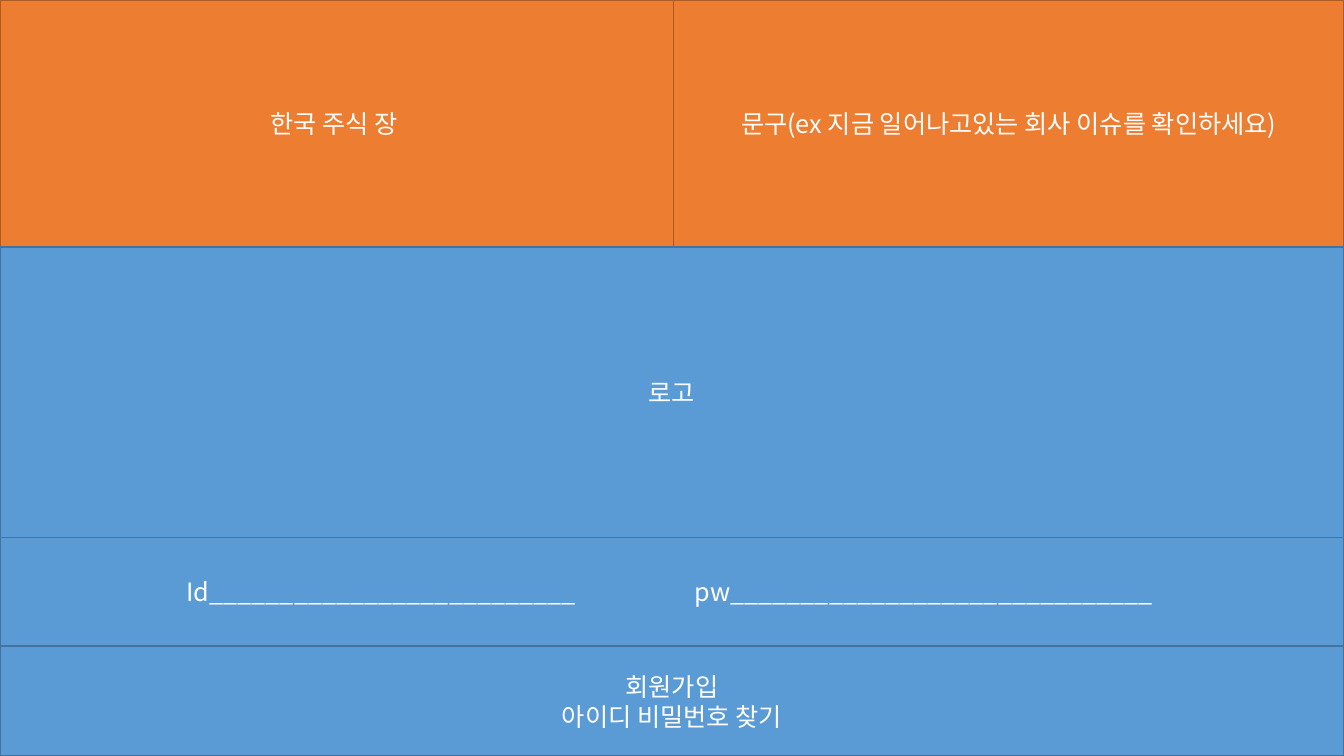
from lxml import etree
from pptx import Presentation
from pptx.dml.color import RGBColor
from pptx.enum.shapes import MSO_SHAPE
from pptx.enum.text import MSO_ANCHOR, PP_ALIGN
from pptx.oxml.ns import qn
from pptx.util import Inches, Pt

RECTANGLE = MSO_SHAPE.RECTANGLE
MIDDLE = MSO_ANCHOR.MIDDLE
CENTER, LEFT = PP_ALIGN.CENTER, PP_ALIGN.LEFT

ORANGE = RGBColor(0xED, 0x7D, 0x31)
DARK_ORANGE = RGBColor(0xAF, 0x5C, 0x24)
BLUE = RGBColor(0x5B, 0x9B, 0xD5)
DARK_BLUE = RGBColor(0x43, 0x73, 0x9E)
WHITE = RGBColor(0xFF, 0xFF, 0xFF)
FONT = "Noto Sans CJK KR"

WIDTH, HEIGHT = 13.33, 7.5
HEADER_SPLIT = 6.68
ROW_EDGES = [0, 2.45, 5.33, 6.41, HEIGHT]


def format_span(span):
    span.font.size = Pt(18)
    span.font.color.rgb = WHITE
    span.font.name = FONT
    # Korean letters take the East Asian font
    etree.SubElement(span.font._element, qn("a:ea"), typeface=FONT)


def add_panel(page, left, right, row, text, fill, line):
    top, bottom = ROW_EDGES[row:row + 2]
    box = page.shapes.add_shape(RECTANGLE, Inches(left), Inches(top),
                                Inches(right - left), Inches(bottom - top))
    box.shadow.inherit = False
    box.fill.solid()
    box.fill.fore_color.rgb = fill
    box.line.color.rgb = line
    box.line.width = Pt(1)

    frame = box.text_frame
    frame.word_wrap = True
    frame.vertical_anchor = MIDDLE
    frame.text = text
    for para in frame.paragraphs:
        para.alignment = CENTER
        for span in para.runs:
            format_span(span)
    return box


def align_fields(box, first, second):
    """Start two tab-separated fields at the given distances from the left."""
    frame = box.text_frame
    frame.margin_left = Inches(first)
    para = frame.paragraphs[0]
    para.alignment = LEFT
    tabs = etree.SubElement(para._p.get_or_add_pPr(), qn("a:tabLst"))
    etree.SubElement(tabs, qn("a:tab"), pos=str(Inches(second - first)), algn="l")


def main():
    deck = Presentation()
    deck.slide_width, deck.slide_height = Inches(WIDTH), Inches(HEIGHT)
    page = deck.slides.add_slide(deck.slide_layouts[6])

    # Header: stock market and slogan
    add_panel(page, 0, HEADER_SPLIT, 0, "한국 주식 장 ", ORANGE, DARK_ORANGE)
    add_panel(page, HEADER_SPLIT, WIDTH, 0,
              "문구(ex 지금 일어나고있는 회사 이슈를 확인하세요)", ORANGE, DARK_ORANGE)

    # Body: logo area, login fields, account links
    login_text = "Id" + "_" * 26 + "\tpw" + "_" * 30
    body_texts = ["로고", login_text, "회원가입\n아이디 비밀번호 찾기"]
    logo, login, links = [
        add_panel(page, 0, WIDTH, row, text, BLUE, DARK_BLUE)
        for row, text in enumerate(body_texts, start=1)
    ]
    align_fields(login, 1.85, 6.89)

    deck.save("out.pptx")


main()
